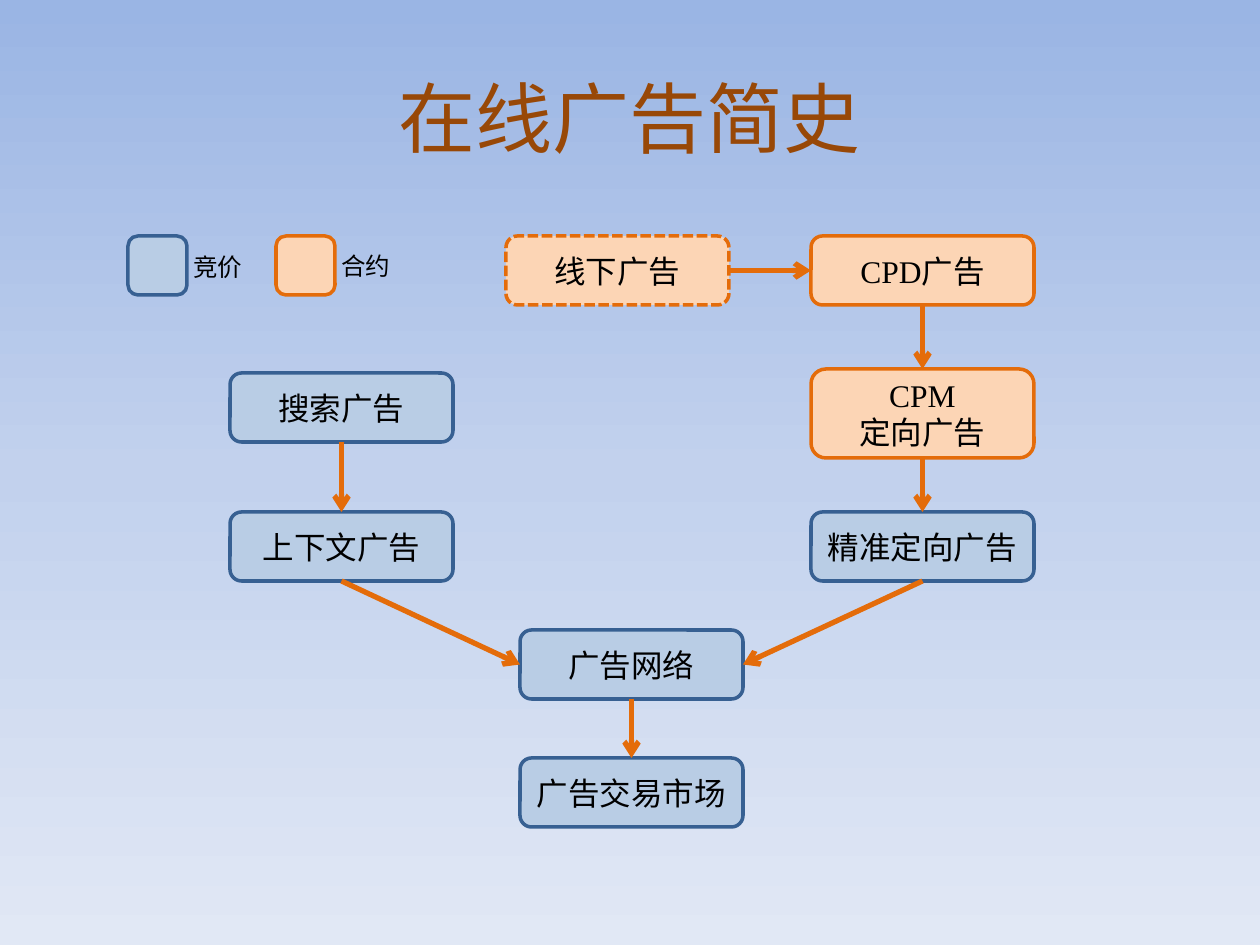
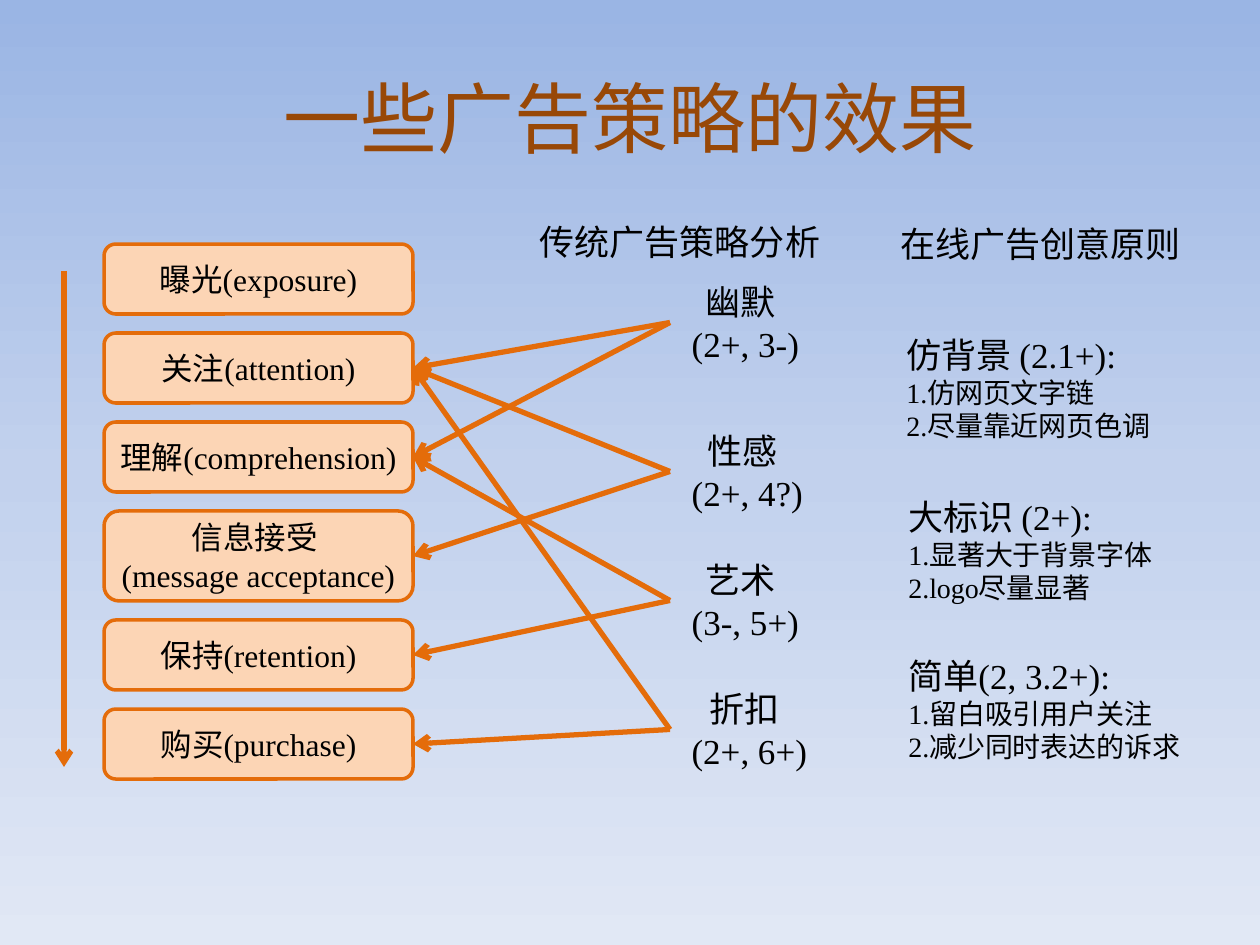
import copy

import pptx
import pptx.dml.color
import pptx.enum.dml
import pptx.enum.shapes
import pptx.enum.text
import pptx.oxml.ns
import pptx.util
from lxml import etree

PX = 914400 / 126
BODY_FONT, CJK_FONT = "Times New Roman", "Noto Sans CJK SC"
TITLE_COLOUR, INK, ARROW = "984807", "000000", "E46C0A"
BIDDING = ("B9CDE5", "376092")
CONTRACT = ("FCD5B5", "E46C0A")
SKY = [(0, "9AB5E4"), (0.5, "C2D1ED"), (1, "E1E8F5")]
TOP, LEFT, BOTTOM, RIGHT = range(4)
CENTRE = pptx.enum.text.PP_ALIGN.CENTER
MIDDLE = pptx.enum.text.MSO_ANCHOR.MIDDLE
qn = pptx.oxml.ns.qn


def emu(*lengths):
    return [pptx.util.Emu(round(n * PX)) for n in lengths]


def rgb(colour):
    return pptx.dml.color.RGBColor.from_string(colour)


def paint_background(master):
    fill = master.background.fill
    fill.gradient()
    fill.gradient_angle = 270
    first = master.element.find(".//" + qn("a:gsLst"))[0]
    first.addnext(copy.deepcopy(first))
    for stop, (position, colour) in zip(fill.gradient_stops, SKY):
        stop.position = position
        stop.color.rgb = rgb(colour)


def add_run(p, text, size, colour=INK, font=BODY_FONT):
    r = p.add_run()
    r.text = text
    r.font.size = pptx.util.Pt(size)
    r.font.name = font
    r.font.color.rgb = rgb(colour)
    ea = etree.SubElement(r.font._element, qn("a:ea"))
    ea.set("typeface", CJK_FONT)


def write(tf, lines, align=None, hanging=False):
    """Fill a text frame from (text, size) pairs, one paragraph each."""
    for i, (text, size) in enumerate(lines):
        p = tf.add_paragraph() if i else tf.paragraphs[0]
        p.alignment = align
        if hanging:
            pPr = p._p.get_or_add_pPr()
            pPr.set("marL", "342900")
            pPr.set("indent", "-342900")
        add_run(p, text, size)


def new_slide(prs, title):
    s = prs.slides.add_slide(prs.slide_layouts[5])
    sp = s.shapes.title
    sp.left, sp.top, sp.width, sp.height = emu(63, 38, 1134, 158)
    sp.text_frame.vertical_anchor = MIDDLE
    p = sp.text_frame.paragraphs[0]
    p.alignment = CENTRE
    add_run(p, title, 44, TITLE_COLOUR, CJK_FONT)
    return s


def add_box(s, box, kind, *lines, dashed=False):
    sp = s.shapes.add_shape(
        pptx.enum.shapes.MSO_SHAPE.ROUNDED_RECTANGLE, *emu(*box))
    sp.shadow.inherit = False
    fill, line = kind
    sp.fill.solid()
    sp.fill.fore_color.rgb = rgb(fill)
    sp.line.color.rgb = rgb(line)
    sp.line.width = pptx.util.Pt(2)
    if dashed:
        sp.line.dash_style = pptx.enum.dml.MSO_LINE.SQUARE_DOT
    sp.text_frame.vertical_anchor = MIDDLE
    write(sp.text_frame, [(text, 18) for text in lines], CENTRE)
    return sp


def add_text(s, box, lines, align=None, wrap=False, hanging=True):
    sp = s.shapes.add_textbox(*emu(*box))
    sp.text_frame.word_wrap = wrap
    sp.text_frame.auto_size = pptx.enum.text.MSO_AUTO_SIZE.SHAPE_TO_FIT_TEXT
    write(sp.text_frame, lines, align, hanging)
    return sp


def add_arrow(s, points=(0, 0, 0, 0)):
    c = s.shapes.add_connector(
        pptx.enum.shapes.MSO_CONNECTOR.STRAIGHT, *emu(*points))
    c.line.color.rgb = rgb(ARROW)
    c.line.width = pptx.util.Pt(3)
    spPr = c._element.spPr
    etree.SubElement(spPr.find(qn("a:ln")), qn("a:tailEnd")).set("type", "arrow")
    etree.SubElement(spPr, qn("a:effectLst"))
    return c


def join(s, start, start_side, end, end_side):
    c = add_arrow(s)
    c.begin_connect(start, start_side)
    c.end_connect(end, end_side)


def legend(s, x, y):
    add_box(s, (x, y, 59, 59), BIDDING)
    add_box(s, (x + 148, y, 59, 59), CONTRACT)
    for dx, dy, name in [(53, 10, "竞价"), (201, 9, "合约")]:
        add_text(s, (x + dx, y + dy, 74, 43), [(name, 14)], CENTRE, hanging=False)


def history_flow(s, x, y):
    w, h = 223, 69
    right, middle = x + 581, x + 290

    def stage(left, dy, kind, *lines, height=h, dashed=False):
        return add_box(s, (left, y + dy, w, height), kind, *lines, dashed=dashed)

    offline = stage(x + 276, 0, CONTRACT, "线下广告", dashed=True)
    cpd = stage(right, 0, CONTRACT, "CPD广告")
    cpm = stage(right, 133, CONTRACT, "CPM", "定向广告", height=89)
    precise = stage(right, 276, BIDDING, "精准定向广告")
    search = stage(x, 137, BIDDING, "搜索广告")
    context = stage(x, 276, BIDDING, "上下文广告")
    network = stage(middle, 394, BIDDING, "广告网络")
    exchange = stage(middle, 522, BIDDING, "广告交易市场")

    join(s, offline, RIGHT, cpd, LEFT)
    for start, end in [(cpd, cpm), (cpm, precise), (search, context),
                       (network, exchange)]:
        join(s, start, BOTTOM, end, TOP)
    join(s, context, BOTTOM, network, LEFT)
    join(s, precise, BOTTOM, network, RIGHT)


def effect_stages(s, x, y):
    """Stack the stages downwards and return them in order."""
    names = [("曝光(exposure)",), ("关注(attention)",), ("理解(comprehension)",),
             ("信息接受 ", "(message acceptance)"), ("保持(retention)",),
             ("购买(purchase)",)]
    add_arrow(s, (x - 40, y + 27, x - 40, y + 523))
    stages = []
    for lines in names:
        h = 50 + 20 * len(lines)
        stages.append(add_box(s, (x, y, 309, h), CONTRACT, *lines))
        y += h + 19
    return stages


def strategies(s, x, y, stages):
    """Each strategy points at the stages it affects."""
    add_text(s, (x - 149, y, 318, 55), [("传统广告策略分析", 20)], CENTRE, wrap=True)
    rows = [(60, 142, "幽默", " (2+, 3-)", (1, 2)),
            (209, 146, "性感", " (2+, 4?)", (1, 3)),
            (338, 142, "艺术", " (3-, 5+)", (2, 4)),
            (467, 150, "折扣", " (2+, 6+)", (1, 5))]
    for dy, w, name, score, targets in rows:
        label = add_text(s, (x, y + dy, w, 97), [(name, 20), (score, 20)], CENTRE)
        for target in targets:
            join(s, label, LEFT, stages[target], RIGHT)


def principles(s, x, y):
    add_text(s, (x, y, 309, 55), [("在线广告创意原则", 20)], CENTRE)
    rows = [(8, 111, 280, False, "仿背景 (2.1+):",
             "1.仿网页文字链", "2.尽量靠近网页色调"),
            (10, 273, 287, True, "大标识 (2+):",
             "1.显著大于背景字体", "2.logo尽量显著"),
            (10, 432, 318, True, "简单(2, 3.2+):",
             "1.留白吸引用户关注", "2.减少同时表达的诉求")]
    for dx, dy, w, wrap, name, *tips in rows:
        add_text(s, (x + dx, y + dy, w, 123),
                 [(name, 20)] + [(tip, 16) for tip in tips], wrap=wrap)


def main():
    prs = pptx.Presentation()
    prs.slide_width, prs.slide_height = emu(1260, 945)
    paint_background(prs.slide_master)

    s = new_slide(prs, "在线广告简史")
    legend(s, 128, 236)
    history_flow(s, 230, 236)

    s = new_slide(prs, "一些广告策略的效果")
    stages = effect_stages(s, 104, 244)
    strategies(s, 670, 214, stages)
    principles(s, 886, 216)

    prs.save("out.pptx")


if __name__ == "__main__":
    main()
